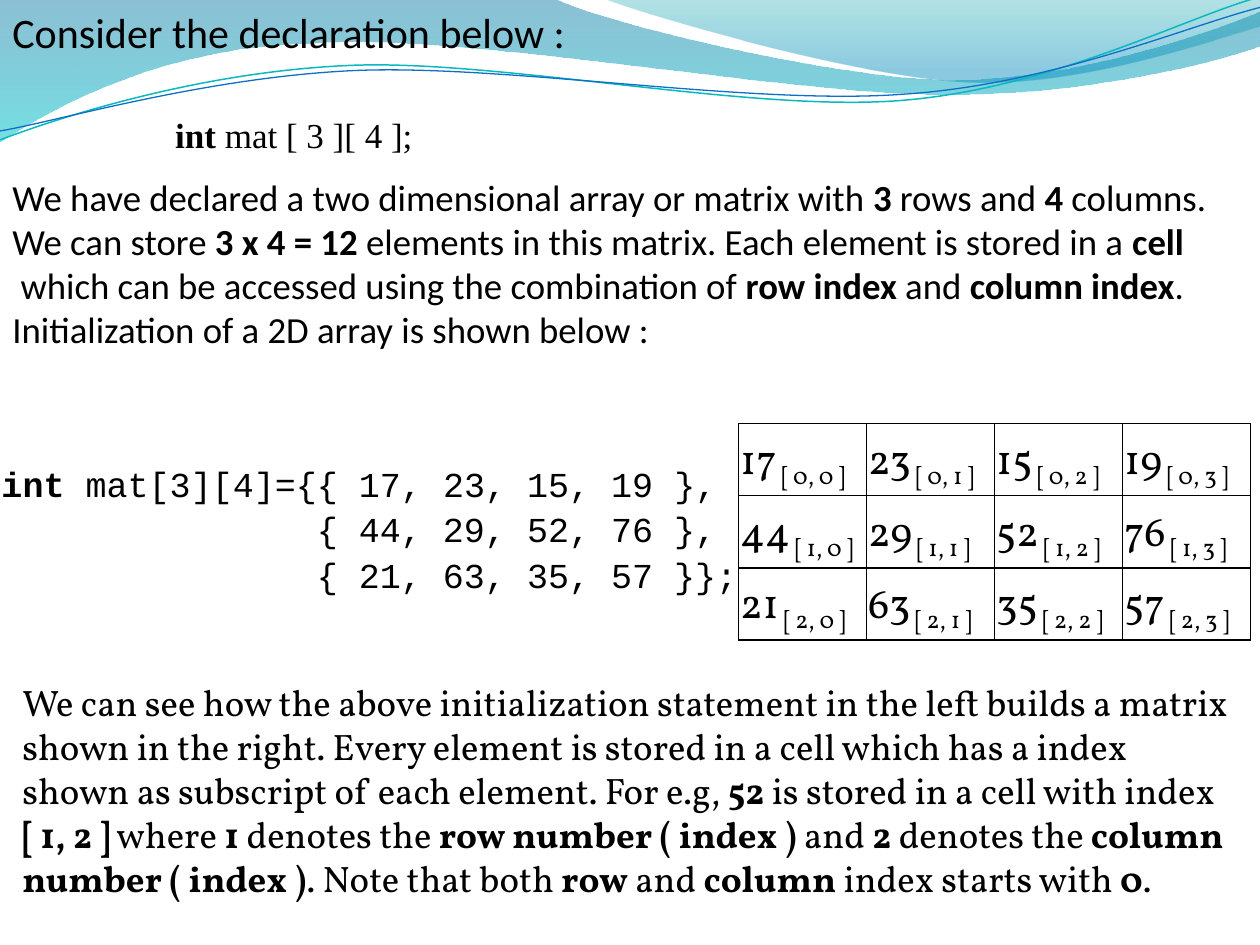
import math

from lxml import etree
from pptx import Presentation, util as u
from pptx.dml.color import RGBColor
from pptx.enum import text as t
from pptx.oxml import ns

NO_STYLE = "{2D5ABB26-0587-4C30-8999-92F81FD0307C}"


def color(hex_string):
    return RGBColor.from_string(hex_string)


def write(paragraph, text, size=21, font="Calibri", spacing=None, baseline=None):
    """Add text to a paragraph; **marks** are bold and \\v is a line break."""
    paragraph.line_spacing = spacing
    for part, piece in enumerate(text.split("**")):
        for row, line in enumerate(piece.split("\v")):
            if row:
                paragraph.add_line_break()
            if not line:
                continue
            run = paragraph.add_run()
            run.text = line
            run.font.size = u.Pt(size)
            run.font.name = font
            run.font.bold = part % 2 == 1
            run.font.color.rgb = color("000000")
            if baseline:
                run.font._element.set("baseline", str(baseline))


presentation = Presentation()
presentation.slide_width, presentation.slide_height = u.Cm(25.4), u.Cm(19.05)
slide = presentation.slides.add_slide(presentation.slide_layouts[6])

# Wave outlines in cm: a pair is a straight step, six numbers are a Bezier curve
broad_wave = [
    (0, 0), (11.18, -0.03),
    (12.09, 0.43, 16.87, 1.6, 19.25, 1.6), (21.67, 1.6, 24.33, 0.66, 25.4, 0.23),
    (25.43, 0.91),
    (24.97, 1.12, 22.1, 1.93, 18.95, 1.9), (15.8, 1.9, 9.7, 0.71, 6.53, 0.86),
    (3.28, 0.91, 1.17, 2.11, -0.03, 2.87),
]
right_wave = [
    (12.17, -0.03),
    (12.93, 0.28, 17.32, 1.57, 19.53, 1.65), (21.74, 1.75, 24.41, 0.81, 25.4, 0.53),
    (25.4, 0),
]
teal_line = [
    (0, 2.82),
    (1.22, 2.36, 4.01, 1.45, 7.04, 1.32), (10.03, 1.19, 15.06, 2.26, 18.11, 2.03),
    (21.16, 1.8, 23.83, 0.38, 25.35, -0.05),
]
blue_line = [
    (0, 2.64),
    (1.19, 2.44, 4.17, 1.55, 7.19, 1.42), (10.24, 1.3, 15.16, 2.13, 18.21, 1.9),
    (21.23, 1.7, 23.9, 0.53, 25.4, 0.15),
]

# Header waves: gradient stops are (position, colour, opacity), lines (colour, width)
tilt, center_x, center_y = 2.7, 12.68, 1.48
cos, sin = math.cos(math.radians(tilt)), math.sin(math.radians(tilt))
for outline, stops, line in [
    (broad_wave, [(0, "0074A1", 45), (1, "00C6CF", 55)], None),
    (right_wave, [(0, "00A1A9", 30), (0.8, "008BBF", 45)], None),
    (teal_line, None, ("0AB8BF", 0.85)),
    (blue_line, None, ("0F6FC6", 0.75)),
]:
    points = [pair for segment in outline for pair in zip(segment[::2], segment[1::2])]
    if line:  # level the curve, since the shape itself is tilted
        points = [
            (center_x + (x - center_x) * cos - (y - center_y) * sin,
             center_y + (x - center_x) * sin + (y - center_y) * cos)
            for x, y in points
        ]
    points = [(u.Cm(x), u.Cm(y)) for x, y in points]
    builder = slide.shapes.build_freeform(*points[0])
    builder.add_line_segments(points[1:], close=line is None)
    shape = builder.convert_to_shape()
    shape.shadow.inherit = False

    # Gather three straight steps into each Bezier curve
    straight = iter(list(shape._element.iter(ns.qn("a:lnTo"))))
    for segment in outline[1:]:
        first = next(straight)
        if len(segment) == 6:
            first.addprevious(curve := etree.Element(ns.qn("a:cubicBezTo")))
            for step in (first, next(straight), next(straight)):
                curve.append(step[0])
                step.getparent().remove(step)

    if line:
        shape.rotation = 360 - tilt
        shape.fill.background()
        shape.line.color.rgb = color(line[0])
        shape.line.width = u.Pt(line[1])
    else:
        shape.line.fill.background()
        shape.fill.gradient()
        shape.fill.gradient_angle = 270
        for stop, (position, shade, opacity) in zip(shape.fill.gradient_stops, stops):
            stop.position = position
            stop.color.rgb = color(shade)
            rgb = stop._gs.find(ns.qn("a:srgbClr"))
            etree.SubElement(rgb, ns.qn("a:alpha"), val=str(opacity * 1000))

# Text boxes
heading = ["Consider the declaration below :"]
explanation = [
    "We have declared a two dimensional array or matrix with **3** rows and **4** columns.",
    "We can store **3 x 4 = 12** elements in this matrix. Each element is stored in a **cell**",
    " which can be accessed using the combination of **row index** and **column index**.",
    "Initialization of a 2D array is shown below :",
]
conclusion = [
    "We can see how the above initialization statement in the left builds a matrix shown "
    "in the right. Every element is stored in a cell which has a index shown as subscript "
    "of each element. For e.g, **52** is stored in a cell with index \v**[ 1, 2 ]** where "
    "**1** denotes the **row number ( index )** and **2** denotes the **column number "
    "( index )**. Note that both **row** and **column** index starts with **0**."
]
for lines, box, anchor, wrap, size, font in [
    (heading, (0, 0, 11.96, 1.27), t.MSO_ANCHOR.MIDDLE, False, 24, "Calibri"),
    (explanation, (0, 3.38, 25, 3.84), t.MSO_ANCHOR.MIDDLE, False, 21, "Calibri"),
    (conclusion, (0.2, 13.58, 25, 5.64), t.MSO_ANCHOR.TOP, True, 21, "Vollkorn"),
]:
    frame = slide.shapes.add_textbox(*map(u.Cm, box)).text_frame
    frame.word_wrap = wrap
    frame.auto_size = t.MSO_AUTO_SIZE.SHAPE_TO_FIT_TEXT
    frame.vertical_anchor = anchor
    for index, content in enumerate(lines):
        paragraph = frame.add_paragraph() if index else frame.paragraphs[0]
        write(paragraph, content, size=size, font=font)

# Tables: declaration, matrix with index subscripts, initialization code
declaration = [["**int** mat [ 3 ][ 4 ];"]]
matrix = [[17, 23, 15, 19], [44, 29, 52, 76], [21, 63, 35, 57]]
code = [[
    "**int** mat[3][4]={{ 17, 23, 15, 19 },\n"
    "               { 44, 29, 52, 76 },\n"
    "               { 21, 63, 35, 57 }};"
]]
for values, box, size, font in [
    (declaration, (3.5, 2.18, 16.94, 1.02), 20, "Times New Roman"),
    (matrix, (14.89, 8.54, 10.32, 4.36), 24, "Vollkorn"),
    (code, (0, 8.53, 17.86, 4.32), 20, "Courier New"),
]:
    table = slide.shapes.add_table(len(values), len(values[0]), *map(u.Cm, box)).table
    table.first_row = table.horz_banding = False
    table._tbl.tblPr.find(ns.qn("a:tableStyleId")).text = NO_STYLE
    for i, row in enumerate(values):
        for j, value in enumerate(row):
            cell = table.cell(i, j)
            cell.margin_left = cell.margin_right = u.Cm(0.03)
            cell.margin_top = cell.margin_bottom = u.Cm(0.03)
            cell.vertical_anchor = t.MSO_ANCHOR.MIDDLE
            frame = cell.text_frame
            for index, content in enumerate(str(value).split("\n")):
                paragraph = frame.add_paragraph() if index else frame.paragraphs[0]
                write(paragraph, content, size=size, font=font, spacing=1.15)
            if values is matrix:
                write(paragraph, f" [ {i}, {j} ]", size=size, font=font, spacing=1.15,
                      baseline=-25000)
                for side in ("lnL", "lnR", "lnT", "lnB"):
                    border = etree.SubElement(cell._tc.tcPr, ns.qn(f"a:{side}"), w="12700")
                    solid = etree.SubElement(border, ns.qn("a:solidFill"))
                    etree.SubElement(solid, ns.qn("a:srgbClr"), val="000000")
            cell.fill.background()

presentation.save("out.pptx")
